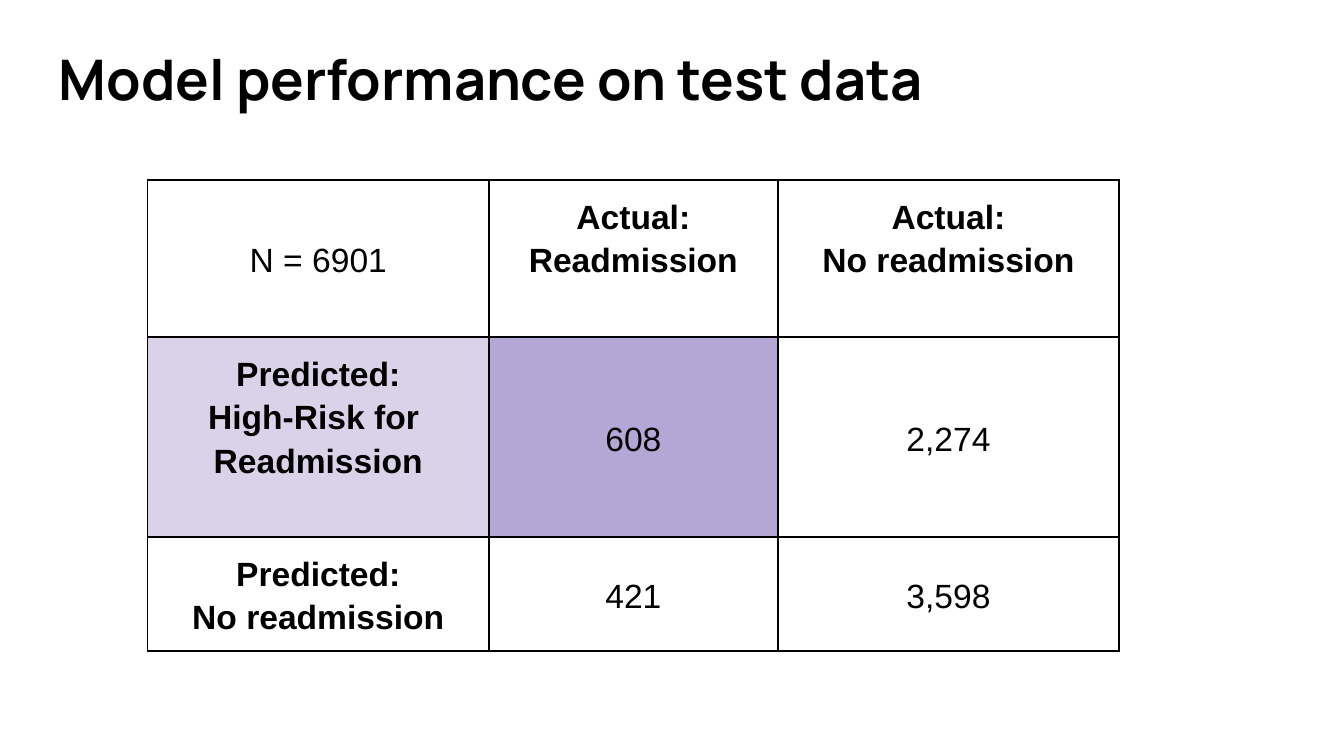
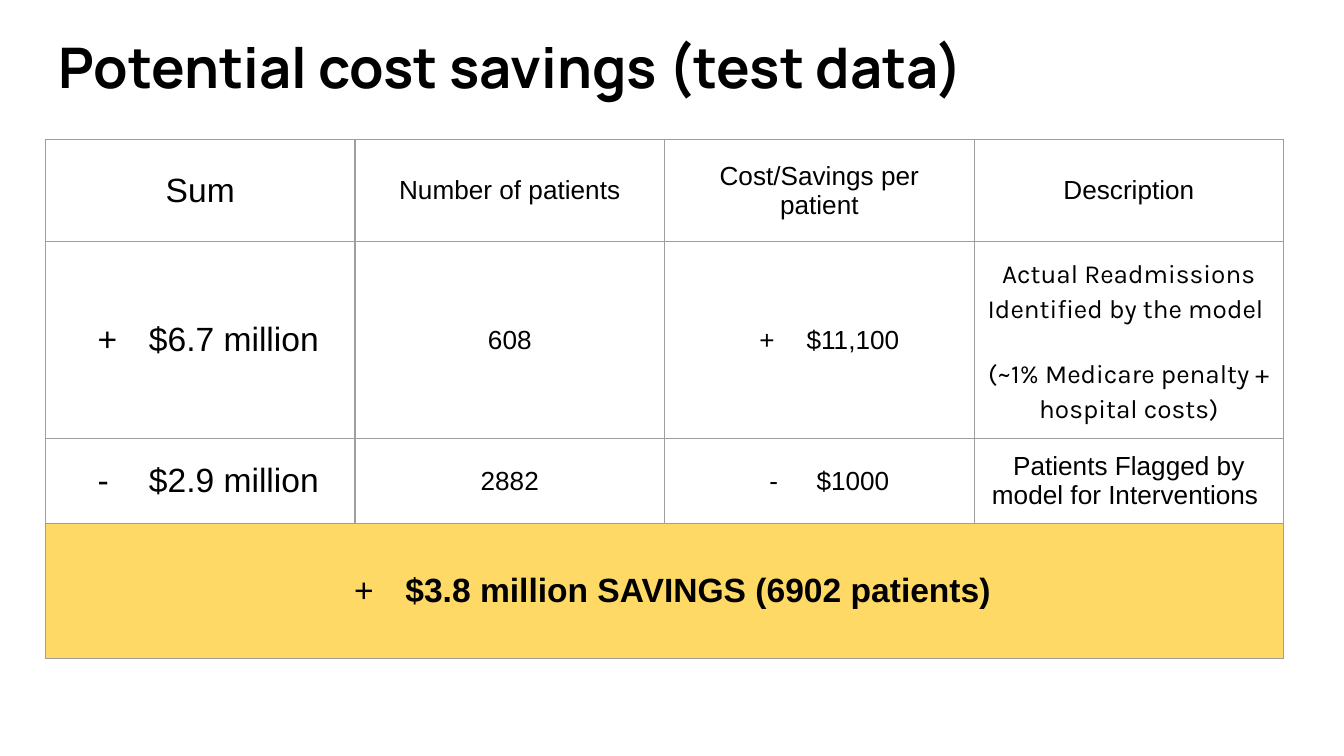
"""Build two slides: a confusion matrix and a cost savings table."""
import dataclasses

import lxml.etree
import pptx
import pptx.dml.color
import pptx.enum.text
import pptx.oxml.ns
import pptx.util

Cm = pptx.util.Cm
Pt = pptx.util.Pt
CENTER = pptx.enum.text.PP_ALIGN.CENTER
MIDDLE = pptx.enum.text.MSO_ANCHOR.MIDDLE

BLACK = "000000"
GREY = "9E9E9E"
LILAC = "D9D2E9"
PURPLE = "B4A7D6"
YELLOW = "FFD966"

TITLE_FORMAT = {"name": "Manrope", "size": Pt(30), "bold": True}
TITLE_BOX = {"left": Cm(0.86), "width": Cm(23.67), "height": Cm(1.73)}
FRAME_FORMAT = {
    "word_wrap": True,
    "auto_size": pptx.enum.text.MSO_AUTO_SIZE.NONE,
    "vertical_anchor": MIDDLE,
    "margin_left": Cm(0.25),
    "margin_right": Cm(0.25),
    "margin_top": Cm(0.25),
    "margin_bottom": Cm(0.25),
}
TABLE_FLAGS = {"first_row": False, "horz_banding": False}


@dataclasses.dataclass
class Entry:
    """Text and look of one table cell."""

    text: str
    size: int = 18
    bold: bool = False
    font: str = "Arial"
    fill: str = ""
    bullet: str = ""
    hanging: float = 0.97
    line_spacing: float = 1.0
    gap: int = 0
    side_margin: float = 0.25
    bottom_margin: float = 0.25


def apply_format(target, values):
    """Set each named attribute of the target."""
    for name, value in values.items():
        setattr(target, name, value)


def rgb(color):
    """Turn a hex string into a colour."""
    return pptx.dml.color.RGBColor.from_string(color)


def add_element(parent, tag, **attributes):
    """Append a drawing element and return it."""
    element = lxml.etree.SubElement(parent, pptx.oxml.ns.qn(tag))
    for name, value in attributes.items():
        element.set(name, str(value))
    return element


def add_title_slide(presentation, text, top):
    """Add a slide with a formatted title."""
    slide = presentation.slides.add_slide(presentation.slide_layouts[5])
    title = slide.shapes.title
    apply_format(title, {**TITLE_BOX, "top": Cm(top)})
    apply_format(title.text_frame, FRAME_FORMAT)
    paragraph = title.text_frame.paragraphs[0]
    paragraph.alignment = pptx.enum.text.PP_ALIGN.LEFT
    run = paragraph.add_run()
    run.text = text
    apply_format(run.font, TITLE_FORMAT)
    run.font.color.rgb = rgb(BLACK)
    return slide


def add_bullet(paragraph, character, hanging):
    """Give a paragraph a hanging bullet character."""
    properties = paragraph._p.get_or_add_pPr()
    properties.set("marL", str(Cm(1.27)))
    properties.set("indent", str(-Cm(hanging)))
    color = add_element(properties, "a:buClr")
    add_element(color, "a:srgbClr", val=BLACK)
    add_element(properties, "a:buFont", typeface="Arial")
    add_element(properties, "a:buChar", char=character)


def set_borders(cell, color, width):
    """Draw the four borders of a cell."""
    properties = cell._tc.get_or_add_tcPr()
    for position, side in enumerate(("a:lnL", "a:lnR", "a:lnT", "a:lnB")):
        line = add_element(properties, side, w=Pt(width))
        fill = add_element(line, "a:solidFill")
        add_element(fill, "a:srgbClr", val=color)
        properties.insert(position, line)


def set_fill(cell, color):
    """Fill a cell, or leave it clear without a colour."""
    if color:
        cell.fill.solid()
        cell.fill.fore_color.rgb = rgb(color)
    else:
        cell.fill.background()


def write_cell(cell, entry):
    """Write an entry into a cell, one paragraph a line."""
    apply_format(cell, {
        "vertical_anchor": MIDDLE,
        "margin_left": Cm(entry.side_margin),
        "margin_right": Cm(entry.side_margin),
        "margin_top": Cm(0.25),
        "margin_bottom": Cm(entry.bottom_margin),
    })
    for index, line in enumerate(entry.text.split("\n")):
        frame = cell.text_frame
        paragraph = frame.add_paragraph() if index else frame.paragraphs[0]
        if entry.bullet:
            add_bullet(paragraph, entry.bullet, entry.hanging)
        paragraph.alignment = CENTER
        paragraph.line_spacing = entry.line_spacing
        if index and entry.gap:
            paragraph.space_before = Pt(entry.gap)
        run = paragraph.add_run()
        run.text = line
        apply_format(run.font, {
            "name": entry.font, "size": Pt(entry.size), "bold": entry.bold,
        })
        run.font.color.rgb = rgb(BLACK)


def add_table(slide, left, top, widths, heights, rows, border):
    """Add a bordered table; a lone entry spans its whole row."""
    frame = slide.shapes.add_table(
        len(heights), len(widths), Cm(left), Cm(top),
        Cm(sum(widths)), Cm(sum(heights)))
    table = frame.table
    apply_format(table, TABLE_FLAGS)
    for column, width in zip(table.columns, widths):
        column.width = Cm(width)
    for row, height in zip(table.rows, heights):
        row.height = Cm(height)
    for row, entries in zip(table.rows, rows):
        cells = list(row.cells)
        if len(entries) == 1:
            cells[0].merge(cells[-1])
        for cell in cells:
            set_fill(cell, entries[0].fill if len(entries) == 1 else "")
            set_borders(cell, *border)
        for cell, entry in zip(cells, entries):
            set_fill(cell, entry.fill)
            write_cell(cell, entry)


def matrix_entry(text, **look):
    """Make an entry in the style of the confusion matrix."""
    return Entry(text, line_spacing=1.15, side_margin=0.18, **look)


def matrix_heading(text, **look):
    """Make a bold heading of the confusion matrix."""
    return matrix_entry(text, bold=True, **look)


def detail(text, **look):
    """Make a small entry of the savings table."""
    return Entry(text, size=14, hanging=0.89, **look)


def add_performance_slide(presentation):
    """Add the slide with the confusion matrix."""
    slide = add_title_slide(presentation, "Model performance on test data", 0.61)
    raised = {"bottom_margin": 1.07}
    rows = [
        [matrix_entry("N = 6901"),
         matrix_heading("Actual:\nReadmission", **raised),
         matrix_heading("Actual:\nNo readmission", **raised)],
        [matrix_heading("Predicted:\nHigh-Risk for \nReadmission",
                        fill=LILAC, **raised),
         matrix_entry("608", fill=PURPLE),
         matrix_entry("2,274")],
        [matrix_heading("Predicted:\nNo readmission"),
         matrix_entry("421"),
         matrix_entry("3,598")],
    ]
    add_table(slide, 2.79, 3.4, [6.45, 5.46, 6.45], [2.97, 3.78, 2.15],
              rows, (BLACK, 1))


def add_savings_slide(presentation):
    """Add the slide with the cost savings table."""
    slide = add_title_slide(
        presentation, "Potential cost savings (test data)", 0.38)
    rows = [
        [Entry("Sum"), detail("Number of patients"),
         detail("Cost/Savings per patient"), detail("Description")],
        [Entry("$6.7 million", bullet="+"), detail("608"),
         detail("$11,100", bullet="+"),
         detail("Actual Readmissions Identified by the model \n"
                "(~1% Medicare penalty + hospital costs)",
                font="Karla", line_spacing=1.15, gap=16)],
        [Entry("$2.9 million", bullet="-"), detail("2882"),
         detail("$1000", bullet="-"),
         detail("Patients Flagged by model for Interventions ")],
        [Entry("$3.8 million SAVINGS (6902 patients)",
               bold=True, bullet="+", fill=YELLOW)],
    ]
    add_table(slide, 0.86, 2.64, [5.85] * 4, [1.93, 3.72, 1.6, 2.54],
              rows, (GREY, 0.75))


def main():
    """Build and save the presentation."""
    presentation = pptx.Presentation()
    apply_format(presentation, {
        "slide_width": Cm(25.4), "slide_height": Cm(14.29),
    })
    add_performance_slide(presentation)
    add_savings_slide(presentation)
    presentation.save("out.pptx")


if __name__ == "__main__":
    main()
